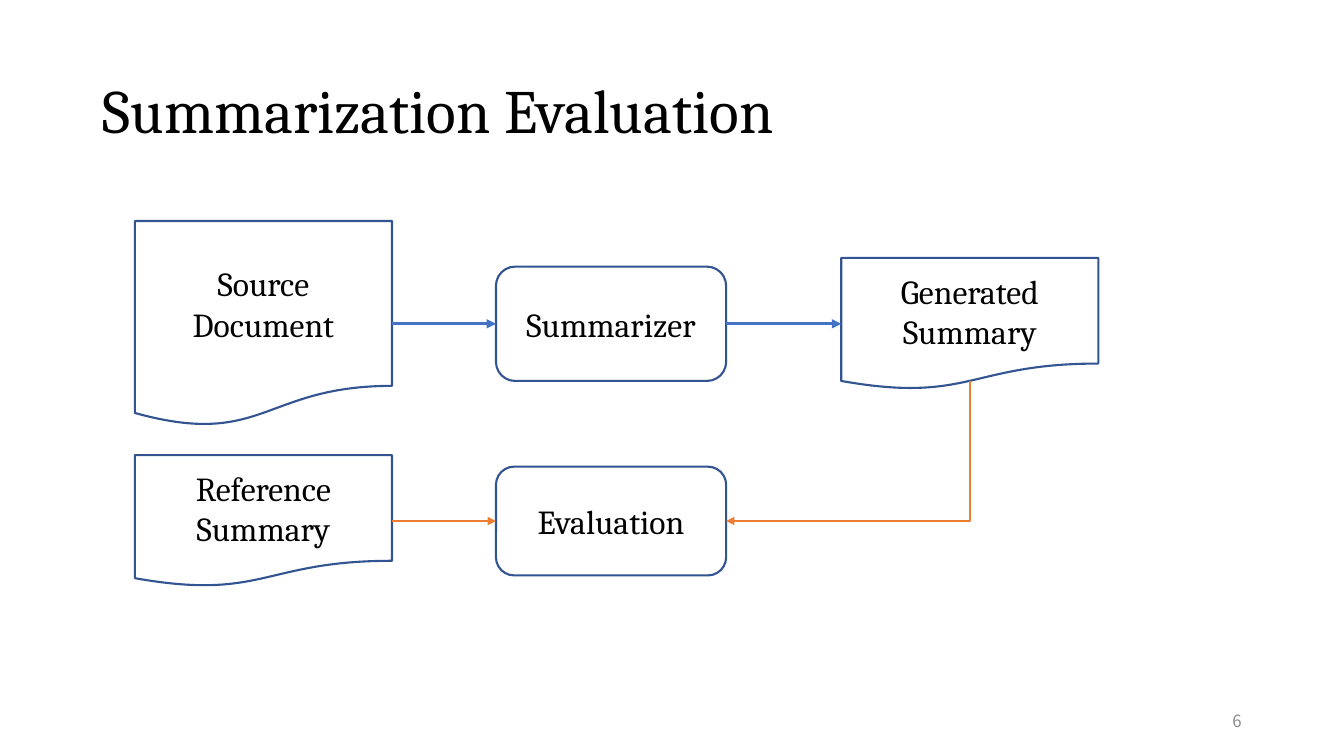
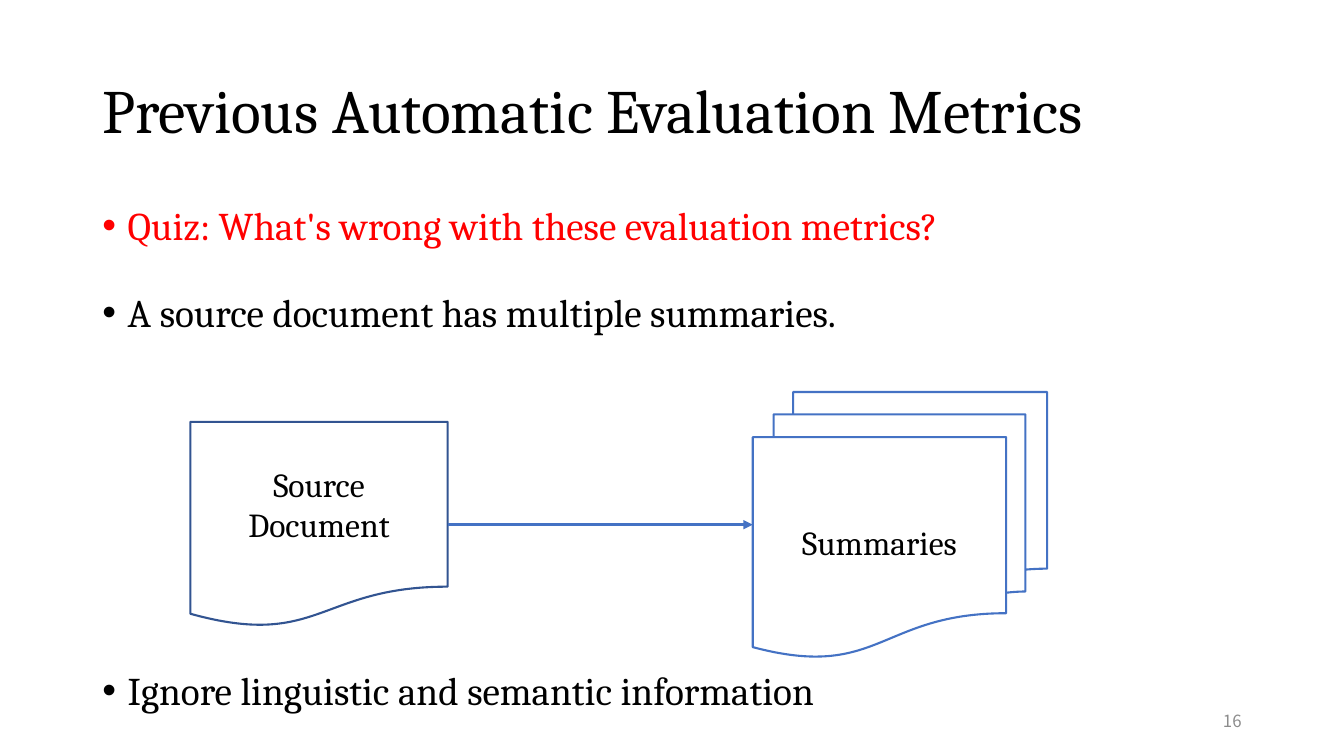
from dataclasses import dataclass

import pptx
import pptx.dml.color
import pptx.enum.shapes
import pptx.enum.text
import pptx.oxml
import pptx.oxml.ns
import pptx.util
from pptx.util import Cm, Pt

FONT = "Cambria"
NUMBER_FONT = "Noto Sans CJK SC"
BLACK, GREY, RED = "000000", "8C8C8C", "FF0000"
NAVY, BLUE, ORANGE = "325491", "4472C4", "ED7D31"
MARGIN = 2.33
CONTENT_WIDTH = 29.21

SHAPE = pptx.enum.shapes.MSO_SHAPE
CONNECTOR = pptx.enum.shapes.MSO_CONNECTOR
ALIGN = pptx.enum.text.PP_ALIGN
MIDDLE = pptx.enum.text.MSO_ANCHOR.MIDDLE
LEFT_SITE, RIGHT_SITE = 1, 3


@dataclass(frozen=True)
class Node:
    text: str
    left: float
    middle: float
    width: float
    height: float
    kind: SHAPE = SHAPE.FLOWCHART_DOCUMENT
    outline: str = NAVY


@dataclass(frozen=True)
class Arrow:
    start: str
    end: str
    color: str = BLUE
    weight: float = 2.25


@dataclass(frozen=True)
class Bullet:
    text: str
    top: float
    color: str = BLACK


def rgb(color: str) -> pptx.dml.color.RGBColor:
    return pptx.dml.color.RGBColor.from_string(color)


def add_element(parent, tag: str, **attributes: str) -> None:
    element = pptx.oxml.parse_xml(f"<{tag} {pptx.oxml.ns.nsdecls('a')}/>")
    for name, value in attributes.items():
        element.set(name, value)
    parent.append(element)


def style_text(para, size: float, color: str, name: str = FONT) -> None:
    para.font.size = Pt(size)
    para.font.name = name
    para.font.color.rgb = rgb(color)


def add_page(deck, title: str, number: int):
    page = deck.slides.add_slide(deck.slide_layouts[5])
    box = page.shapes.title
    box.left, box.top = Cm(MARGIN), Cm(1.01)
    box.width, box.height = Cm(CONTENT_WIDTH), Cm(3.68)
    frame = box.text_frame
    frame.text = title
    frame.auto_size = pptx.enum.text.MSO_AUTO_SIZE.NONE
    frame.vertical_anchor = MIDDLE
    para = frame.paragraphs[0]
    para.alignment = ALIGN.LEFT
    para.line_spacing = 0.9
    style_text(para, 44, BLACK)

    frame = page.shapes.add_textbox(Cm(23.92), Cm(17.65), Cm(7.62), Cm(1.01)).text_frame
    frame.word_wrap = True
    frame.vertical_anchor = MIDDLE
    para = frame.paragraphs[0]
    para.text = str(number)
    para.alignment = ALIGN.RIGHT
    style_text(para, 12, GREY, NUMBER_FONT)
    return page


def add_bullet(page, bullet: Bullet) -> None:
    box = page.shapes.add_textbox(Cm(MARGIN), Cm(bullet.top), Cm(CONTENT_WIDTH), Cm(1.88))
    box.text_frame.word_wrap = True
    para = box.text_frame.paragraphs[0]
    para.text = bullet.text
    properties = para._p.get_or_add_pPr()
    indent = Cm(0.64)
    properties.set("marL", str(indent))
    properties.set("indent", str(-indent))
    add_element(properties, "a:buFont", typeface="Arial")
    add_element(properties, "a:buChar", char="•")
    para.line_spacing = 0.9
    style_text(para, 28, bullet.color)


def add_node(page, node: Node):
    shape = page.shapes.add_shape(
        node.kind, Cm(node.left), Cm(node.middle - node.height / 2), Cm(node.width), Cm(node.height)
    )
    shape.shadow.inherit = False
    shape.fill.background()
    shape.line.color.rgb = rgb(node.outline)
    shape.line.width = Pt(1.5)
    frame = shape.text_frame
    frame.word_wrap = True
    frame.vertical_anchor = MIDDLE
    para = frame.paragraphs[0]
    para.text = node.text
    para.alignment = ALIGN.CENTER
    style_text(para, 24, BLACK)
    return shape


def style_arrow(connector, color: str, weight: float) -> None:
    connector.line.color.rgb = rgb(color)
    connector.line.width = Pt(weight)
    add_element(connector.line._get_or_add_ln(), "a:tailEnd", type="triangle")
    add_element(connector._element.spPr, "a:effectLst")


def add_flow(page, nodes: list[Node], arrows: list[Arrow]) -> None:
    shapes = {node.text: add_node(page, node) for node in nodes}
    for arrow in arrows:
        connector = page.shapes.add_connector(CONNECTOR.STRAIGHT, 0, 0, 0, 0)
        connector.begin_connect(shapes[arrow.start], RIGHT_SITE)
        connector.end_connect(shapes[arrow.end], LEFT_SITE)
        style_arrow(connector, arrow.color, arrow.weight)


def add_down_left_arrow(
    page, start_x: float, start_y: float, end_x: float, end_y: float, color: str, weight: float
) -> None:
    center_x, center_y = (start_x + end_x) / 2, (start_y + end_y) / 2
    half_drop, half_run = (end_y - start_y) / 2, (start_x - end_x) / 2
    connector = page.shapes.add_connector(
        CONNECTOR.ELBOW,
        Cm(center_x - half_drop),
        Cm(center_y - half_run),
        Cm(center_x + half_drop),
        Cm(center_y + half_run),
    )
    properties = connector._element.spPr
    properties.find(pptx.oxml.ns.qn("a:xfrm")).set("rot", str(90 * 60000))
    properties.find(pptx.oxml.ns.qn("a:prstGeom")).set("prst", "bentConnector2")
    style_arrow(connector, color, weight)


def build_evaluation(deck) -> None:
    page = add_page(deck, "Summarization Evaluation", 6)
    upper, lower = 8.16, 13.13
    add_flow(
        page,
        [
            Node("Source Document", 3.4, upper, 6.48, 5.18),
            Node("Summarizer", 12.5, upper, 5.8, 2.88, SHAPE.ROUNDED_RECTANGLE),
            Node("Generated Summary", 21.2, upper, 6.48, 3.32),
            Node("Reference Summary", 3.4, lower, 6.48, 3.32),
            Node("Evaluation", 12.5, lower, 5.8, 2.74, SHAPE.ROUNDED_RECTANGLE),
        ],
        [
            Arrow("Source Document", "Summarizer"),
            Arrow("Summarizer", "Generated Summary"),
            Arrow("Reference Summary", "Evaluation", ORANGE, 1.5),
        ],
    )
    add_down_left_arrow(page, 24.45, 9.6, 18.3, lower, ORANGE, 1.5)


def build_metrics(deck) -> None:
    page = add_page(deck, "Previous Automatic Evaluation Metrics", 16)
    for bullet in (
        Bullet("Quiz: What's wrong with these evaluation metrics?", 5.08, RED),
        Bullet("A source document has multiple summaries.", 7.27),
        Bullet("Ignore linguistic and semantic information", 16.79),
    ):
        add_bullet(page, bullet)
    middle = 13.22
    add_flow(
        page,
        [
            Node("Source Document", 4.8, middle, 6.48, 5.18),
            Node("Summaries", 18.97, middle, 7.42, 6.68, SHAPE.FLOWCHART_MULTIDOCUMENT, BLUE),
        ],
        [Arrow("Source Document", "Summaries")],
    )


def main() -> None:
    deck = pptx.Presentation()
    deck.slide_width, deck.slide_height = Cm(33.87), Cm(19.05)
    build_evaluation(deck)
    build_metrics(deck)
    deck.save("out.pptx")


if __name__ == "__main__":
    main()
